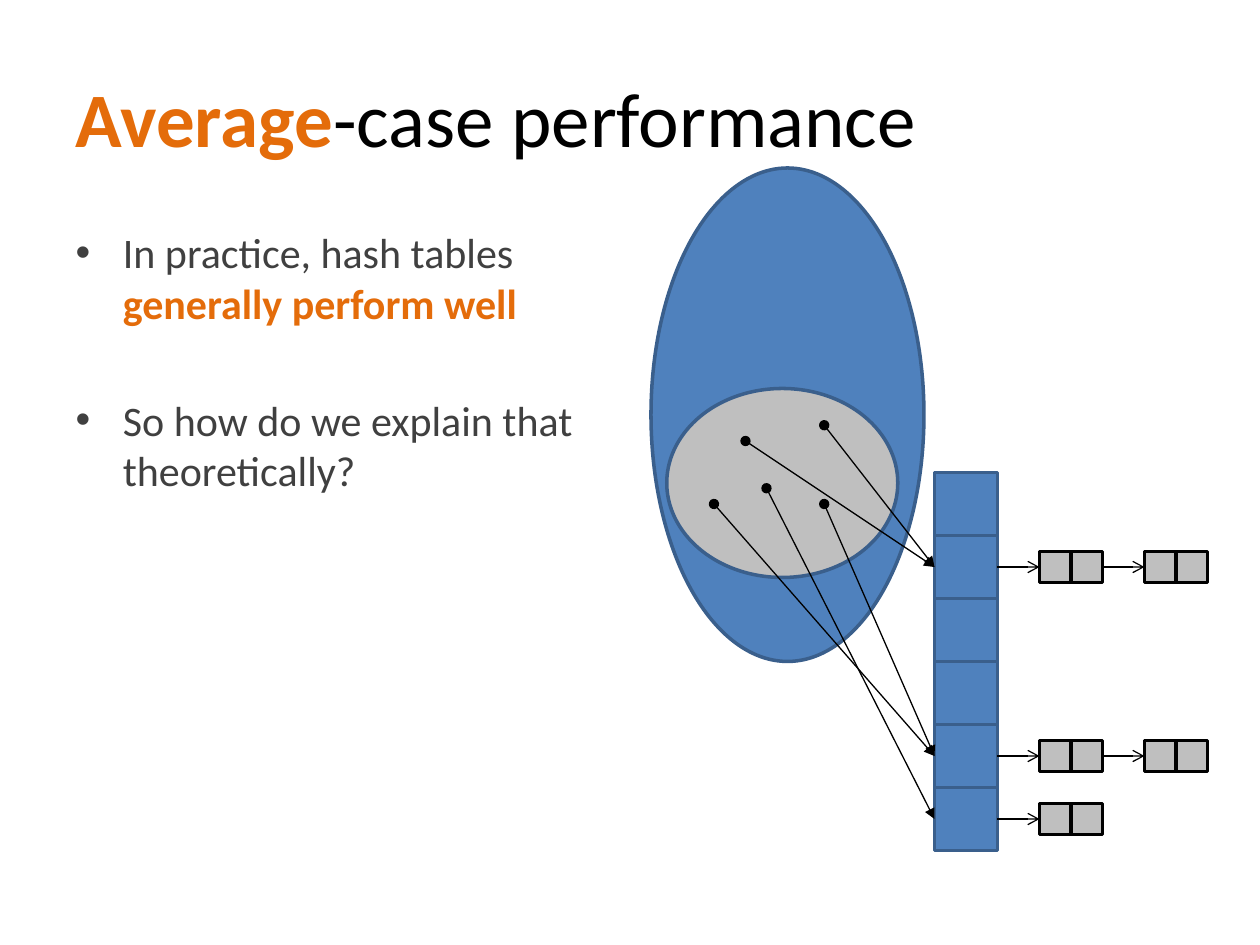
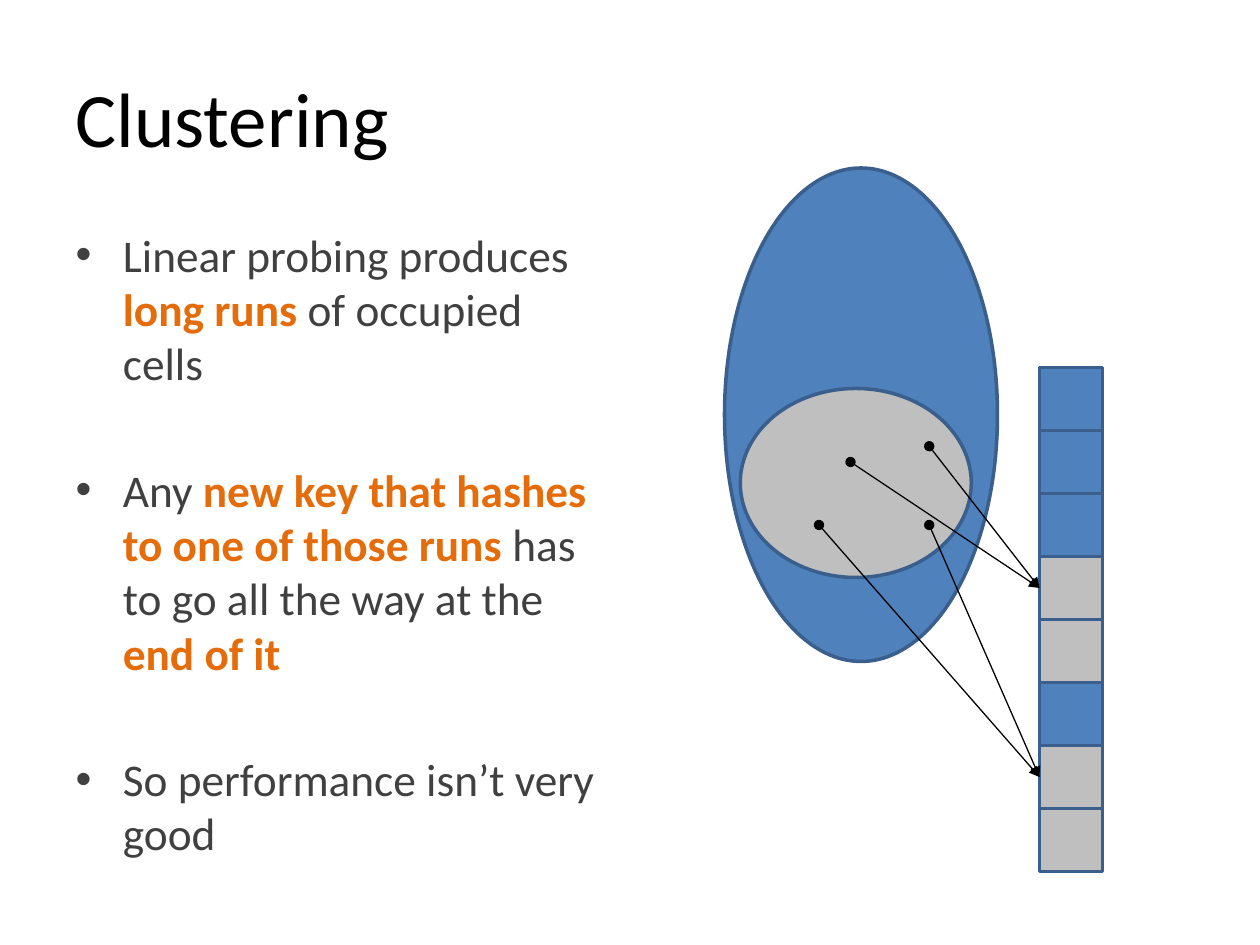
from pptx import Presentation
from pptx.dml.color import RGBColor
from pptx.enum.shapes import MSO_CONNECTOR, MSO_SHAPE
from pptx.enum.text import MSO_ANCHOR, MSO_AUTO_SIZE, PP_ALIGN
from pptx.oxml.ns import qn
from pptx.util import Emu, Pt
from lxml import etree

RECTANGLE = MSO_SHAPE.RECTANGLE
OVAL = MSO_SHAPE.OVAL
STRAIGHT = MSO_CONNECTOR.STRAIGHT

BLUE = RGBColor(0x4F, 0x81, 0xBD)
DARK_BLUE = RGBColor(0x3A, 0x5F, 0x8C)
GREY = RGBColor(0xBF, 0xBF, 0xBF)
BLACK = RGBColor(0, 0, 0)
TEXT_GREY = RGBColor(0x40, 0x40, 0x40)
ORANGE = RGBColor(0xE4, 0x6C, 0x0A)

FONT = "Calibri"
EMU_PER_PX = 7620  # 120 px to the inch
CELL = 60
NODE_HALF = 30
NODE_GAP = 40
TITLE_BOX = (60, 36, 1080, 150)
BODY_BOX = (60, 210, 530, 594)


def px(*lengths):
    return [Emu(length * EMU_PER_PX) for length in lengths]


def place(placeholder, box):
    values = dict(zip(("left", "top", "width", "height"), px(*box)))
    for name, value in values.items():
        setattr(placeholder, name, value)


def add_marked_runs(paragraph, text, size, color):
    """Write text, with the parts between asterisks bold and orange."""
    for index, part in enumerate(text.split("*")):
        if not part:
            continue
        marked = index % 2 == 1
        run = paragraph.add_run()
        run.text = part
        for name, value in {"name": FONT, "size": Pt(size), "bold": marked}.items():
            setattr(run.font, name, value)
        run.font.color.rgb = ORANGE if marked else color


def add_text_slide(deck, title, points, size, gap):
    slide = deck.slides.add_slide(deck.slide_layouts[1])
    heading, body = slide.placeholders
    place(heading, TITLE_BOX)
    heading.text_frame.vertical_anchor = MSO_ANCHOR.MIDDLE
    title_line = heading.text_frame.paragraphs[0]
    title_line.alignment = PP_ALIGN.LEFT
    add_marked_runs(title_line, title, 44, BLACK)

    place(body, BODY_BOX)
    frame = body.text_frame
    frame.auto_size = MSO_AUTO_SIZE.NONE
    for index, point in enumerate(points):
        paragraph = frame.add_paragraph() if index else frame.paragraphs[0]
        paragraph.space_before = Pt(gap if index else 1)
        add_marked_runs(paragraph, point, size, TEXT_GREY)
    return slide


def add_outlined(shapes, kind, box, fill, outline=DARK_BLUE):
    shape = shapes.add_shape(kind, *px(*box))
    shape.shadow.inherit = False
    shape.fill.solid()
    shape.fill.fore_color.rgb = fill
    shape.line.color.rgb = outline
    shape.line.width = Pt(2)


def add_arrow(slide, start, end, tail, head=None):
    arrow = slide.shapes.add_connector(STRAIGHT, *px(*start, *end))
    arrow.line.color.rgb = BLACK
    arrow.line.width = Pt(0.75)
    line = arrow.line._get_or_add_ln()
    for tag, kind in (("a:headEnd", head), ("a:tailEnd", tail)):
        if kind:
            etree.SubElement(line, qn(tag), type=kind)
    etree.SubElement(arrow._element.spPr, qn("a:effectLst"))


def add_hash_table(slide, left, top, fills):
    for row, fill in enumerate(fills):
        add_outlined(slide.shapes, RECTANGLE,
                     (left, top + row * CELL, CELL, CELL), fill)


def add_key_sets(slide, left):
    """Draw the universe of keys with the set of used keys inside it."""
    add_outlined(slide.shapes, OVAL, (left, 160, 260, 470), BLUE)
    add_outlined(slide.shapes, OVAL, (left + 15, 370, 220, 180), GREY)


def row_middle(top, row):
    return top + row * CELL + CELL // 2


def add_hashes(slide, table_left, table_top, hashes):
    """Point from each key to the row of the table that it hashes to."""
    for key, row in hashes:
        add_arrow(slide, key, (table_left, row_middle(table_top, row)),
                  tail="triangle", head="oval")


def add_chain(slide, left, middle, length):
    """Draw a linked list of two-part nodes, starting from a table row."""
    for _ in range(length):
        node_left = left + NODE_GAP
        add_arrow(slide, (left, middle), (node_left, middle), tail="arrow")
        node = slide.shapes.add_group_shape()
        for half in range(2):
            box = (node_left + half * NODE_HALF, middle - NODE_HALF // 2,
                   NODE_HALF, NODE_HALF)
            add_outlined(node.shapes, RECTANGLE, box, GREY, BLACK)
        left = node_left + 2 * NODE_HALF


def build_average_case(deck):
    slide = add_text_slide(
        deck, "*Average*-case performance",
        ["In practice, hash tables *generally perform well*",
         "So how do we explain that theoretically?"],
        size=24, gap=38)
    left, top = 890, 450
    add_hash_table(slide, left, top, [BLUE] * 6)
    for row, length in ((1, 2), (4, 2), (5, 1)):
        add_chain(slide, left + CELL, row_middle(top, row), length)
    add_key_sets(slide, 620)
    add_hashes(slide, left, top, [
        ((785, 405), 1), ((710, 420), 1), ((680, 480), 4),
        ((785, 480), 4), ((730, 465), 5)])


def build_clustering(deck):
    slide = add_text_slide(
        deck, "Clustering",
        ["Linear probing produces *long runs* of occupied cells",
         "Any *new key that hashes to one of those runs *has to go "
         "all the way at the *end of it*",
         "So performance isn’t very good"],
        size=25.9, gap=41)
    left, top = 990, 350
    occupied = {3, 4, 6, 7}
    add_hash_table(slide, left, top,
                   [GREY if row in occupied else BLUE for row in range(8)])
    add_key_sets(slide, 690)
    add_hashes(slide, left, top, [
        ((885, 425), 3), ((810, 440), 3), ((780, 500), 6), ((885, 500), 6)])


def main():
    deck = Presentation()
    deck.slide_width, deck.slide_height = px(1200, 900)
    build_average_case(deck)
    build_clustering(deck)
    deck.save("out.pptx")


if __name__ == "__main__":
    main()
